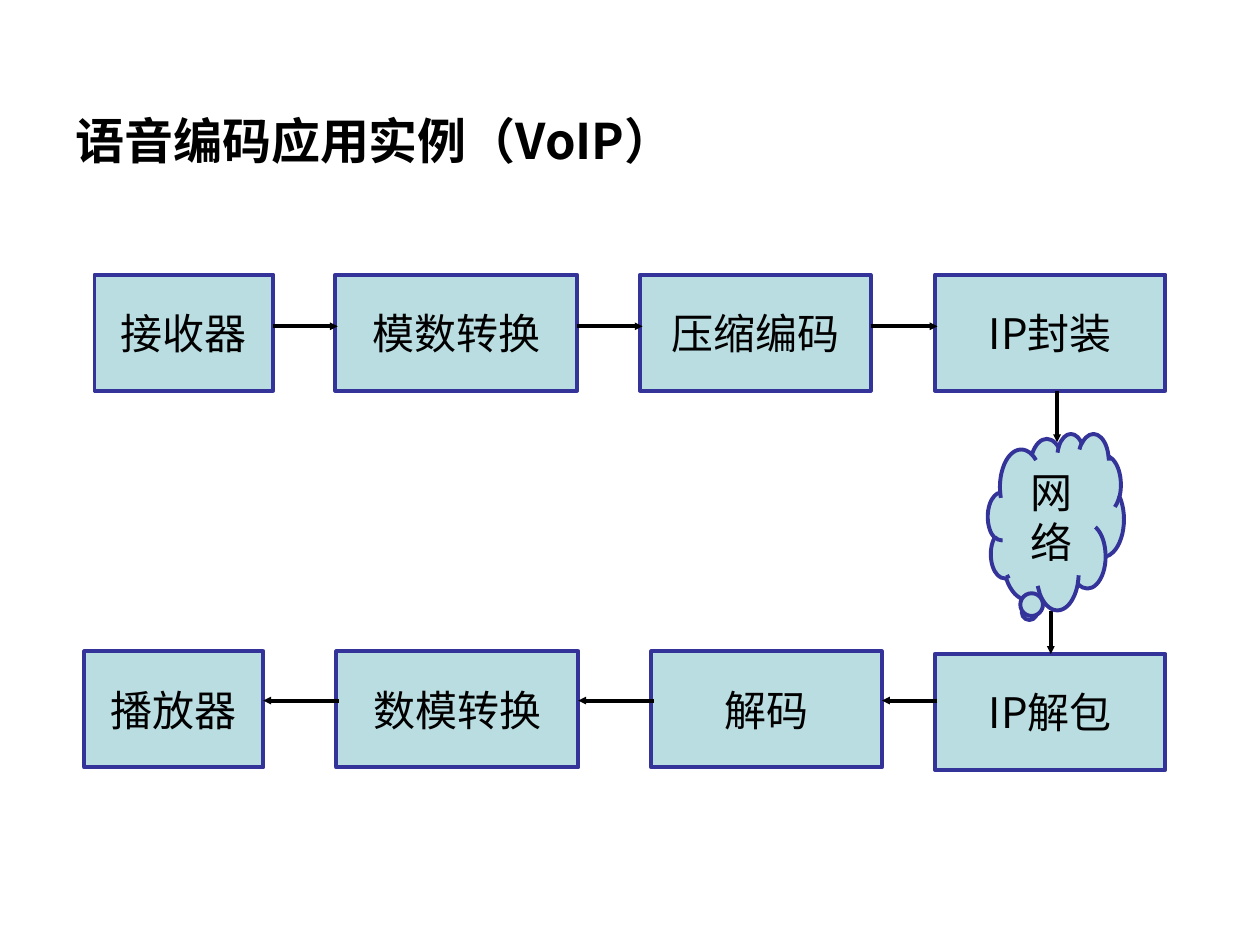
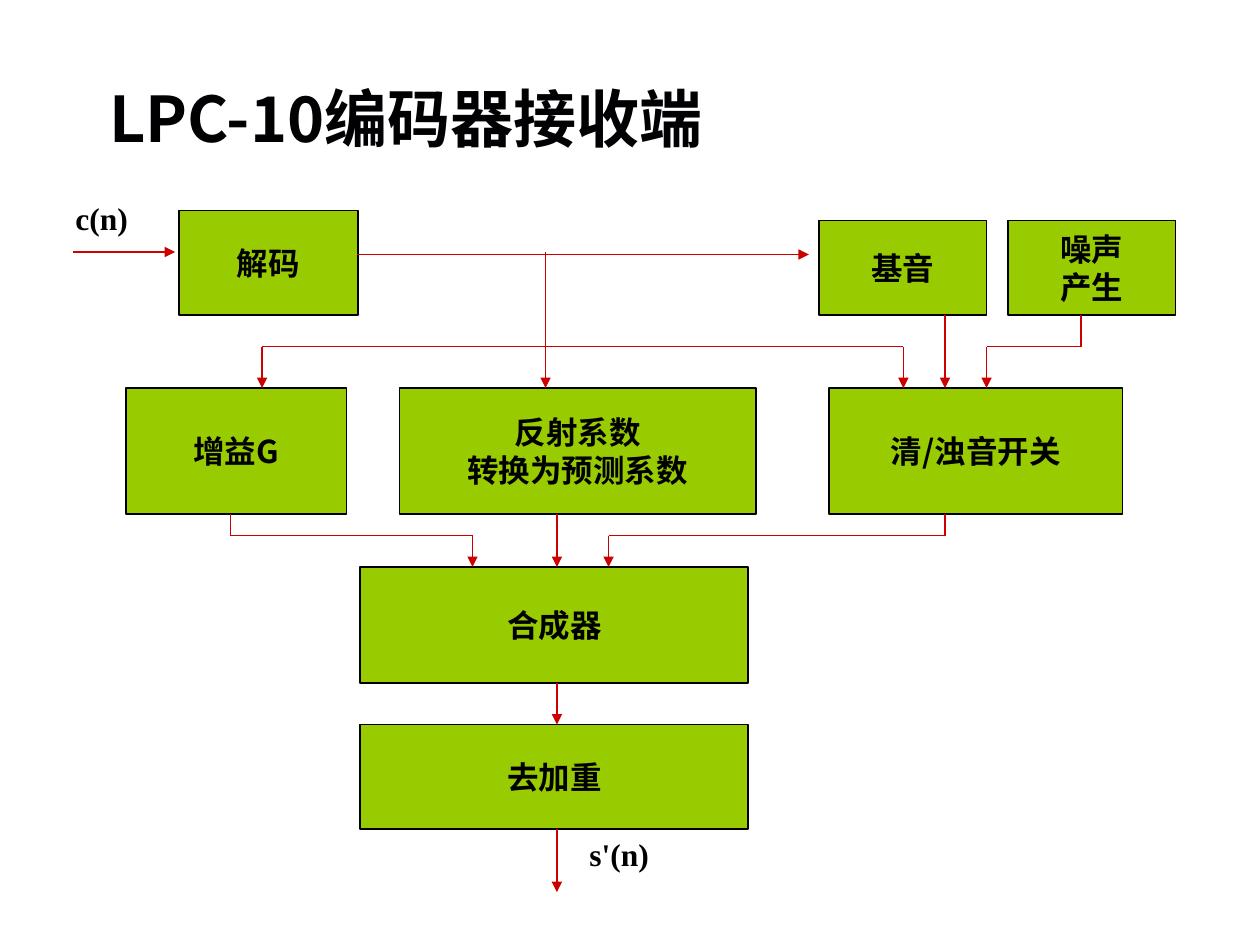
from itertools import pairwise

from lxml.etree import SubElement
from pptx import Presentation
from pptx.dml.color import RGBColor
from pptx.enum.shapes import MSO_CONNECTOR, MSO_SHAPE
from pptx.enum.text import MSO_ANCHOR, PP_ALIGN
from pptx.oxml.ns import qn
from pptx.util import Inches, Pt

# Shared look
COLORS = {"black": "000000", "title": "010103", "pale": "BADDE1",
          "navy": "333399", "green": "99CC00", "red": "CC0000"}
SANS, SERIF = "Noto Sans CJK SC", "Times New Roman"
VOIP_STYLE = {"fill": "pale", "line": "navy", "width": 2.25,
              "font": {"size": Pt(24), "bold": False}}
LPC_STYLE = {"fill": "green", "line": "black", "width": 1,
             "font": {"size": Pt(18), "bold": True}}
VOIP_ARROW = {"color": "black", "width": 2.25, "head": "sm"}
LPC_ARROW = {"color": "red", "width": 1, "head": "med"}

# Slide 1: sender row, network, receiver row
VOIP_TITLE = ("语音编码应用实例（VoIP）", (0.5, 0.83, 5.42, 0.57), 28, "black")
VOIP_HEIGHT = 0.92
SENDER_TOP, RECEIVER_TOP = 2.18, 5.17
SENDER = [("接收器", 0.75, 1.42), ("模数转换", 2.66, 1.92),
          ("压缩编码", 5.08, 1.83), ("IP封装", 7.42, 1.83)]
RECEIVER = [("播放器", 0.67, 1.42), ("数模转换", 2.67, 1.92), ("解码", 5.17, 1.83)]
UNPACKER = ("IP解包", (7.42, 5.19, 1.83, VOIP_HEIGHT))
NETWORK = ("网络", (7.84, 3.44, 1.08, 1.4))
NETWORK_TAIL = (-0.196, 0.518)
SENDER_ARROW_Y, RECEIVER_ARROW_Y = 2.59, 5.56
NETWORK_ARROWS = [[(8.39, 3.1), (8.39, 3.51)], [(8.34, 4.85), (8.34, 5.19)]]

# Slide 2: rows as (top, height, [(text, left, width)])
LPC_TITLE = ("LPC-10编码器接收端", (0.77, 0.58, 5.98, 0.7), 36, "title")
LPC_ROWS = [
    (1.67, 0.83, [("解码", 1.42, 1.42)]),
    (1.75, 0.75, [("基音", 6.5, 1.33), ("噪声\n产生", 8, 1.33)]),
    (3.08, 1, [("增益G", 1, 1.75), ("反射系数\n转换为预测系数", 3.17, 2.83),
               ("清/浊音开关", 6.58, 2.33)]),
    (4.5, 0.92, [("合成器", 2.86, 3.08)]),
    (5.75, 0.83, [("去加重", 2.86, 3.08)]),
]
SIGNALS = [("c(n)", (0.5, 1.53, 1, 0.4)), ("s'(n)", (4.58, 6.58, 1.17, 0.4))]
BUS, PARAMETERS, MERGE, SYNTHESIS = 2.75, 3.08, 4.25, 4.5
CENTER = 4.42
LPC_ROUTES = [
    [(0.58, 2), (1.39, 2)],
    [(2.83, 2.02), (6.42, 2.02)],
    # Decoded parameters and excitation sources
    [(7.17, BUS), (2.08, BUS), (2.08, PARAMETERS)],
    [(4.33, 2), (4.33, PARAMETERS)],
    [(7.17, BUS), (7.17, PARAMETERS)],
    [(7.5, 2.5), (7.5, PARAMETERS)],
    [(8.58, 2.5), (8.58, BUS), (7.83, BUS), (7.83, PARAMETERS)],
    # Into the synthesizer and out
    [(1.83, 4.08), (1.83, MERGE), (3.75, MERGE), (3.75, SYNTHESIS)],
    [(CENTER, 4.08), (CENTER, SYNTHESIS)],
    [(7.5, 4.08), (7.5, MERGE), (4.83, MERGE), (4.83, SYNTHESIS)],
    [(CENTER, 5.42), (CENTER, 5.75)],
    [(CENTER, 6.58), (CENTER, 7.08)],
]


def color(name):
    return RGBColor.from_string(COLORS[name])


def write(shape, text, font, typeface=SANS, text_color="black", align=PP_ALIGN.LEFT):
    frame = shape.text_frame
    frame.text = text
    for paragraph in frame.paragraphs:
        paragraph.alignment = align
        for run in paragraph.runs:
            for name, value in font.items():
                setattr(run.font, name, value)
            run.font.color.rgb = color(text_color)
            run.font.name = typeface
            east_asian = SubElement(run.font._element, qn("a:ea"))
            east_asian.set("typeface", typeface)


def add_label(slide, text, box, size, typeface=SANS, text_color="black"):
    shape = slide.shapes.add_textbox(*map(Inches, box))
    shape.text_frame.word_wrap = True
    write(shape, text, {"size": Pt(size), "bold": True}, typeface, text_color)


def add_title(slide, text, box, size, text_color):
    add_label(slide, text, box, size, text_color=text_color)


def add_node(slide, text, box, style, kind=MSO_SHAPE.RECTANGLE):
    shape = slide.shapes.add_shape(kind, *map(Inches, box))
    shape.shadow.inherit = False
    shape.fill.solid()
    shape.fill.fore_color.rgb = color(style["fill"])
    shape.line.color.rgb = color(style["line"])
    shape.line.width = Pt(style["width"])
    shape.text_frame.word_wrap = False
    shape.text_frame.vertical_anchor = MSO_ANCHOR.MIDDLE
    write(shape, text, style["font"], align=PP_ALIGN.CENTER)
    return shape


def add_route(slide, points, style):
    """Join the points with straight lines and put an arrowhead on the last."""
    for start, end in pairwise(points):
        connector = slide.shapes.add_connector(
            MSO_CONNECTOR.STRAIGHT, *map(Inches, (*start, *end)))
        connector.line.color.rgb = color(style["color"])
        connector.line.width = Pt(style["width"])
        SubElement(connector._element.spPr, qn("a:effectLst"))
    SubElement(connector.line._get_or_add_ln(), qn("a:tailEnd"),
               type="triangle", w=style["head"], len=style["head"])


def build_voip(slide):
    add_title(slide, *VOIP_TITLE)
    for top, row in ((SENDER_TOP, SENDER), (RECEIVER_TOP, RECEIVER)):
        for text, left, width in row:
            add_node(slide, text, (left, top, width, VOIP_HEIGHT), VOIP_STYLE)
    add_node(slide, *UNPACKER, VOIP_STYLE)

    # Arrows run right between senders and left between receivers
    for (_, left, width), (_, next_left, _) in pairwise(SENDER):
        add_route(slide, [(left + width, SENDER_ARROW_Y),
                          (next_left + 0.02, SENDER_ARROW_Y)], VOIP_ARROW)
    receiver_lefts = [left for _, left, _ in RECEIVER[1:]] + [UNPACKER[1][0]]
    for (_, left, width), next_left in zip(RECEIVER, receiver_lefts):
        add_route(slide, [(next_left + 0.02, RECEIVER_ARROW_Y),
                          (left + width, RECEIVER_ARROW_Y)], VOIP_ARROW)
    for points in NETWORK_ARROWS:
        add_route(slide, points, VOIP_ARROW)

    cloud = add_node(slide, *NETWORK, VOIP_STYLE, MSO_SHAPE.CLOUD_CALLOUT)
    for index, value in enumerate(NETWORK_TAIL):
        cloud.adjustments[index] = value
    cloud.text_frame.word_wrap = True
    cloud.text_frame.vertical_anchor = MSO_ANCHOR.TOP


def build_lpc(slide):
    add_title(slide, *LPC_TITLE)
    for top, height, row in LPC_ROWS:
        for text, left, width in row:
            add_node(slide, text, (left, top, width, height), LPC_STYLE)
    for points in LPC_ROUTES:
        add_route(slide, points, LPC_ARROW)
    for text, box in SIGNALS:
        add_label(slide, text, box, 18, SERIF)


def main():
    presentation = Presentation()
    presentation.slide_width, presentation.slide_height = Inches(10), Inches(7.5)
    for build in (build_voip, build_lpc):
        build(presentation.slides.add_slide(presentation.slide_layouts[6]))
    presentation.save("out.pptx")


if __name__ == "__main__":
    main()
